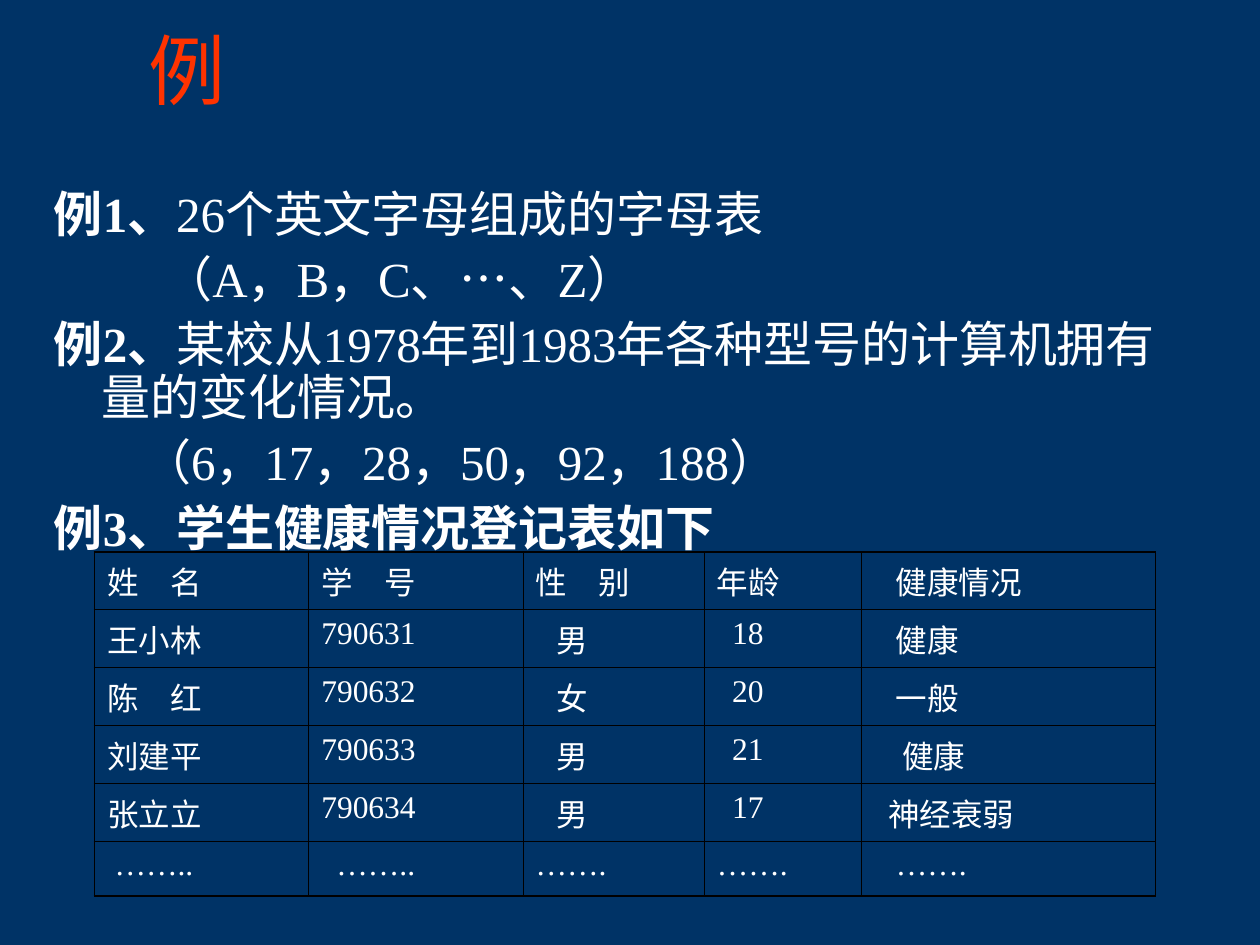
from pptx import Presentation
from pptx.dml.color import RGBColor
from pptx.enum.text import MSO_ANCHOR
from pptx.oxml.ns import qn
from pptx.util import Inches, Pt
from lxml.etree import SubElement

HUES = {"back": "003366", "title": "FF3300", "text": "FFFFFF", "rule": "000000"}
FONT = "Times New Roman"
HANG = (0.38, -0.38)

# Each line: (bold part, plain part, (left margin, first-line indent))
LINES = [
    ("例1、", "26个英文字母组成的字母表", HANG),
    ("", "（A，B，C、…、Z）", (0.87, 0)),
    ("例2、", "某校从1978年到1983年各种型号的计算机拥有量的变化情况。", HANG),
    ("", "（6，17，28，50，92，188）", (0.7, 0)),
    ("例3、学生健康情况登记表如下", "", HANG),
]

ROWS = [
    ("姓　名", "学　号", "性　别", "年龄", "健康情况"),
    ("王小林", "790631", "男", "18", "健康"),
    ("陈　红", "790632", "女", "20", "一般"),
    ("刘建平", "790633", "男", "21", "健康"),
    ("张立立", "790634", "男", "17", "神经衰弱"),
    ("……..", "……..", "…….", "…….", "……."),
]
WIDTHS = (1.7, 1.7, 1.44, 1.25, 2.33)
HEIGHTS = (0.46,) * 5 + (0.43,)
# Indent of each column's data, then the cells that differ
INDENTS = (0, 0, 0.17, 0.12, 0.17)
ODD = {(0, 2): 0, (0, 3): 0, (3, 4): 0.22, (4, 4): 0.11,
       (5, 0): 0.06, (5, 1): 0.12, (5, 2): 0, (5, 3): 0}


def color(name):
    return RGBColor.from_string(HUES[name])


def write(frame, lines, size, hue="text", gap=0, lead=None):
    """Fill a frame with (bold part, plain part, indents) lines."""
    frame.word_wrap = True
    for n, (bold, plain, (left, first)) in enumerate(lines):
        para = frame.add_paragraph() if n else frame.paragraphs[0]
        props = para._p.get_or_add_pPr()
        props.set("marL", str(Inches(left)))
        props.set("indent", str(Inches(first)))
        para.space_before = Pt(gap if n else 0)
        if lead:
            para.line_spacing = lead
        for text, heavy in ((bold, True), (plain, False)):
            if text:
                run = para.add_run()
                run.text = text
                run.font.size = Pt(size)
                run.font.name = FONT
                run.font.bold = heavy
                run.font.color.rgb = color(hue)


def add_box(slide, place, lines, size, anchor=MSO_ANCHOR.TOP, **style):
    frame = slide.shapes.add_textbox(*map(Inches, place)).text_frame
    frame.vertical_anchor = anchor
    write(frame, lines, size, **style)


def draw_edges(cell, row, col):
    """Rule a cell, with heavier lines on the outside of the table."""
    outer = {"lnL": col == 0, "lnR": col == len(WIDTHS) - 1,
             "lnT": row == 0, "lnB": row == len(ROWS) - 1}
    props = cell._tc.get_or_add_tcPr()
    for tag, thick in outer.items():
        line = SubElement(props, qn(f"a:{tag}"), w=str(Pt(1.08 if thick else 0.45)))
        fill = SubElement(line, qn("a:solidFill"))
        SubElement(fill, qn("a:srgbClr"), val=HUES["rule"])


def add_grid(slide, left, top):
    size = Inches(sum(WIDTHS)), Inches(sum(HEIGHTS))
    table = slide.shapes.add_table(len(ROWS), len(WIDTHS),
                                   Inches(left), Inches(top), *size).table
    table.first_row = table.horz_banding = False
    for col, width in zip(table.columns, WIDTHS):
        col.width = Inches(width)
    for r, (row, height) in enumerate(zip(ROWS, HEIGHTS)):
        table.rows[r].height = Inches(height)
        for c, text in enumerate(row):
            cell = table.cell(r, c)
            indent = ODD.get((r, c), INDENTS[c])
            write(cell.text_frame, [("", text, (indent, 0))], 18)
            draw_edges(cell, r, c)
            cell.fill.background()


def main():
    deck = Presentation()
    deck.slide_width, deck.slide_height = Inches(10), Inches(7.5)
    slide = deck.slides.add_slide(deck.slide_layouts[6])
    slide.background.fill.solid()
    slide.background.fill.fore_color.rgb = color("back")
    add_box(slide, (1.08, 0.18, 8.42, 0.73), [("", "例", (0, 0))], 44,
            anchor=MSO_ANCHOR.MIDDLE, hue="title")
    add_box(slide, (0.33, 1.46, 9.17, 3.12), LINES, 28, gap=7, lead=0.9)
    add_grid(slide, 0.75, 4.38)
    deck.save("out.pptx")


if __name__ == "__main__":
    main()
